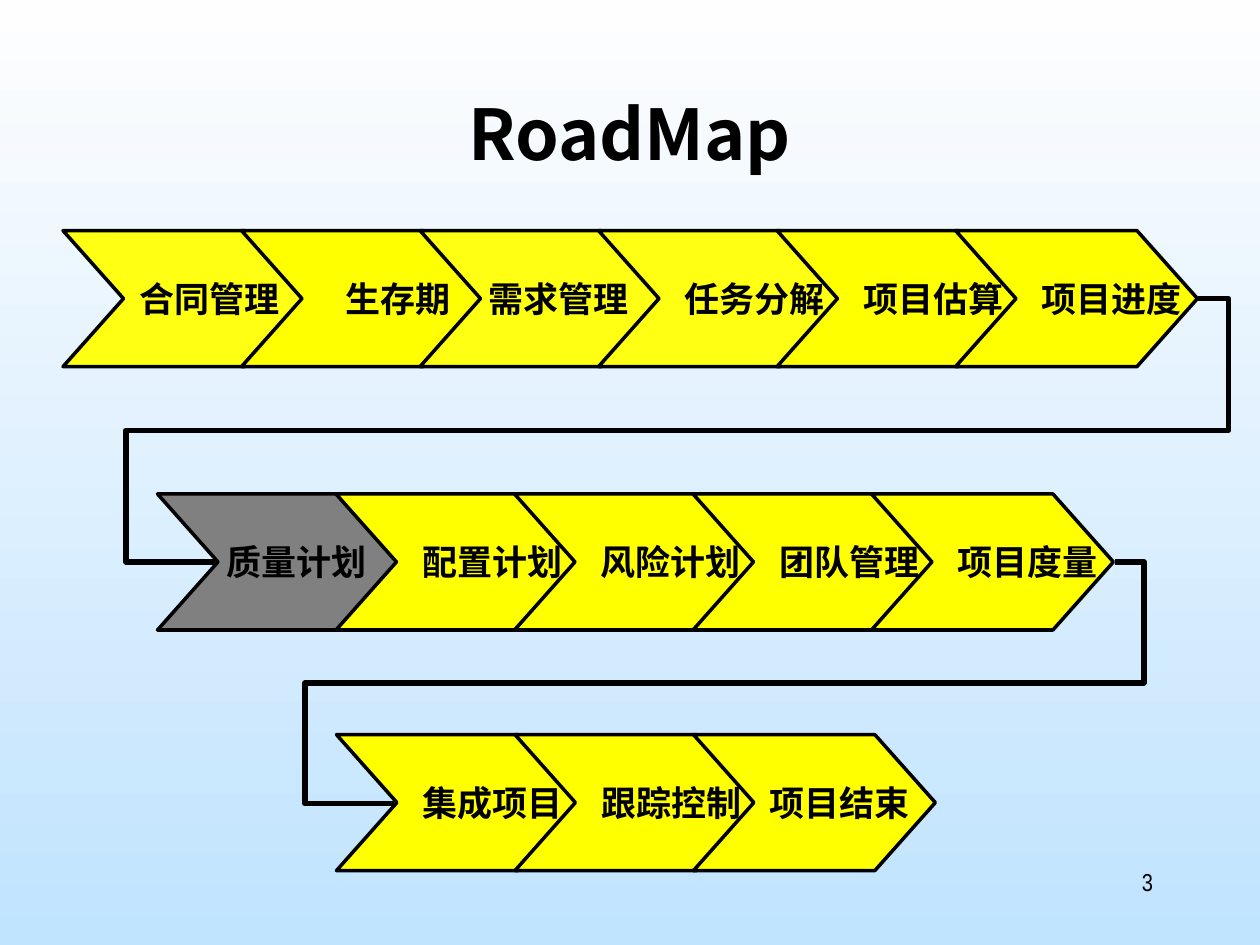
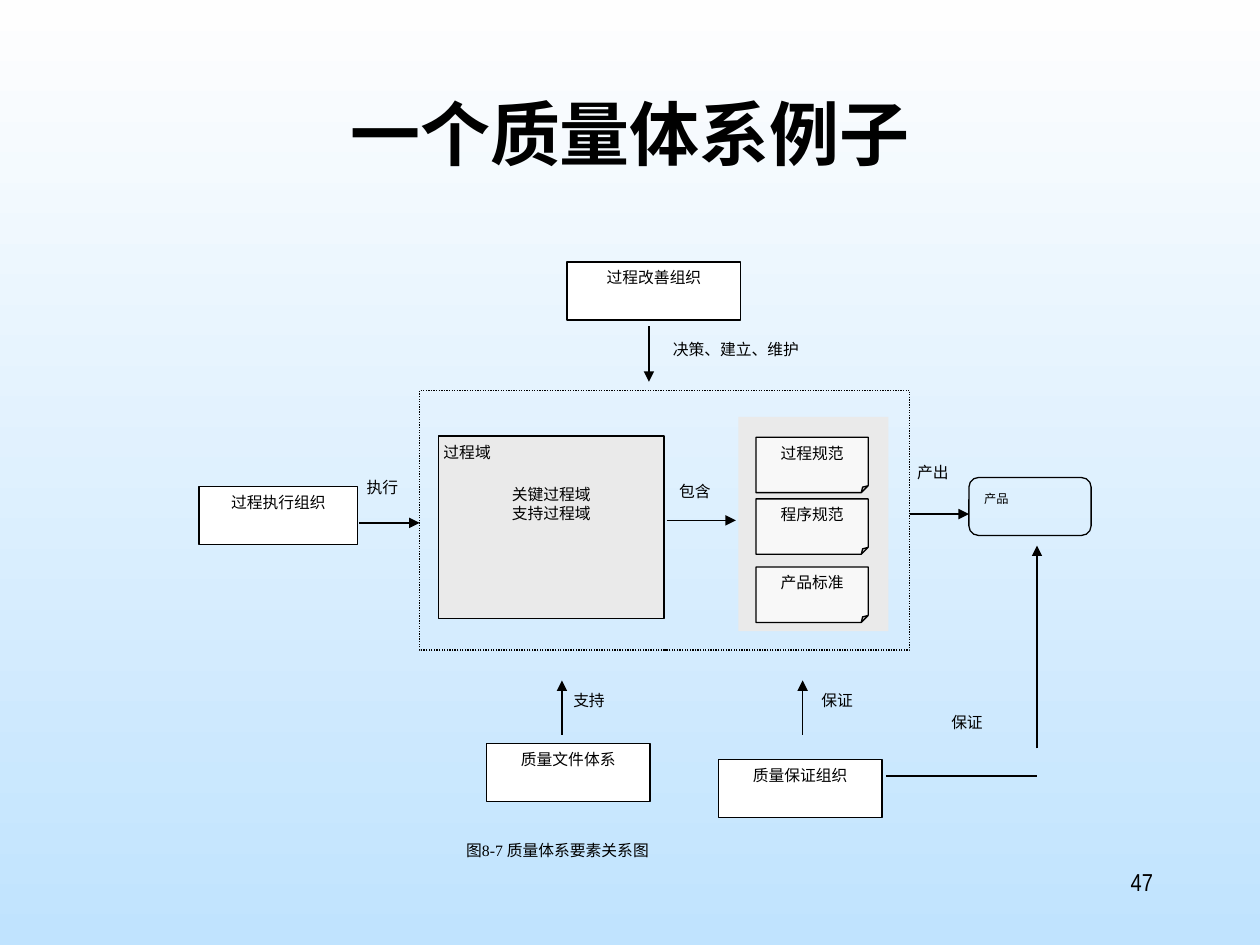
from lxml.etree import SubElement
from pptx import Presentation
from pptx.dml.color import RGBColor
from pptx.enum.dml import MSO_LINE
from pptx.enum.shapes import MSO_CONNECTOR, MSO_SHAPE
from pptx.enum.text import MSO_ANCHOR, PP_ALIGN
from pptx.oxml.ns import qn
from pptx.util import Inches, Pt

COLORS = {
    "ink": "000000", "white": "FFFFFF", "sky_top": "FEFEFE", "sky_bottom": "C0E3FE",
    "done": "FFFF13", "step": "FFFF00", "current": "808080",
    "panel": "EAEAEA", "note": "F8F8F8",
}
NARROW, SERIF, SANS = "Arial Narrow", "Times New Roman", "Noto Sans CJK SC"
LEFT, CENTER, RIGHT = PP_ALIGN.LEFT, PP_ALIGN.CENTER, PP_ALIGN.RIGHT

STEP_PITCH, STEP_W, STEP_H, STEP_BODY, NOTCH = 17 / 12, 1.92, 1.08, 1.44, 0.48
ROADMAP = [
    (0.5, 1.83, [("合同管理", "done", 0.2), ("生存期", "step", 0.28),
                 ("需求管理", "done", 0.14), ("任务分解", "done", 0.28),
                 ("项目估算", "step", 0.28), ("项目进度", "step", 0.28)]),
    (1.25, 3.92, [("质量计划", "current", 0.14), ("配置计划", "step", 0.28),
                  ("风险计划", "step", 0.28), ("团队管理", "step", 0.28),
                  ("项目度量", "step", 0.28)]),
    (2.67, 5.83, [("集成项目", "step", 0.28), ("跟踪控制", "step", 0.28),
                  ("项目结束", "step", 0.2)]),
]
ROW_LINKS = [((9.51, 2.37), (1.71, 4.46), 9.75, 1.0),
             ((8.85, 4.46), (3.13, 6.38), 9.08, 2.42)]

ORGANISATIONS = [
    ("过程改善组织", 4.5, 2.08, 1.38), ("过程执行组织", 1.58, 3.86, 1.26),
    ("质量保证组织", 5.7, 6.03, 1.3), ("质量文件体系", 3.86, 5.9, 1.3),
]
STANDARDS = [("过程规范", 3.47), ("程序规范", 3.96), ("产品标准", 4.5)]
RELATIONS = [
    ("决策、建立、维护", 5.34, 2.7, 1.5), ("执行", 2.91, 3.79, 0.43),
    ("包含", 5.39, 3.82, 0.43), ("产出", 7.28, 3.67, 0.43),
    ("支持", 4.55, 5.48, 0.43), ("保证", 6.52, 5.48, 0.43),
    ("保证", 7.55, 5.66, 0.43), ("过程域", 3.52, 3.51, 1.0),
]
ARROWS = [
    (5.15, 2.59, 5.15, 3.03), (2.85, 4.15, 3.33, 4.15), (5.29, 4.13, 5.84, 4.13),
    (7.22, 4.08, 7.69, 4.08), (4.46, 5.83, 4.46, 5.4), (6.37, 5.83, 6.37, 5.4),
]


def rgb(name):
    return RGBColor.from_string(COLORS[name])


def write(sp, lines, size, font, align=CENTER, bold=False, insets=(0.1, 0.05, 0.1, 0.05),
          anchor=MSO_ANCHOR.TOP, wrap=True):
    tf = sp.text_frame
    tf.word_wrap = wrap
    tf.vertical_anchor = anchor
    tf.margin_left, tf.margin_top, tf.margin_right, tf.margin_bottom = map(Inches, insets)
    for i, line in enumerate(lines):
        p = tf.paragraphs[0] if i == 0 else tf.add_paragraph()
        p.alignment = align
        r = p.add_run()
        r.text = line
        r.font.size, r.font.bold, r.font.name = Pt(size), bold, font
        r.font.color.rgb = rgb("ink")
        SubElement(r._r.rPr, qn("a:ea")).set("typeface", SANS)


def add_text(s, box, text, size, font, align=LEFT, **options):
    sp = s.shapes.add_textbox(*map(Inches, box))
    write(sp, [text], size, font, align, **options)


def style(sp, fill=None, width=0.75):
    sp.shadow.inherit = False
    if fill:
        sp.fill.solid()
        sp.fill.fore_color.rgb = rgb(fill)
    else:
        sp.fill.background()
    if width:
        sp.line.color.rgb = rgb("ink")
        sp.line.width = Pt(width)
    else:
        sp.line.fill.background()
    return sp


def add_box(s, box, fill=None, width=0.75, kind=MSO_SHAPE.RECTANGLE):
    return style(s.shapes.add_shape(kind, *map(Inches, box)), fill, width)


def set_guides(sp, guides):
    av = sp._element.spPr.find(qn("a:prstGeom")).find(qn("a:avLst"))
    for name, value in guides.items():
        gd = SubElement(av, qn("a:gd"))
        gd.set("name", name)
        gd.set("fmla", f"val {round(value * 100000)}")


def add_line(s, x1, y1, x2, y2, width=0.75, arrow=True, kind=MSO_CONNECTOR.STRAIGHT):
    c = s.shapes.add_connector(kind, *map(Inches, (x1, y1, x2, y2)))
    c.line.color.rgb = rgb("ink")
    c.line.width = Pt(width)
    props = c._element.spPr
    if arrow:
        SubElement(props.find(qn("a:ln")), qn("a:tailEnd")).set("type", "triangle")
    SubElement(props, qn("a:effectLst"))
    return c


def add_row_link(s, start, end, right_lane, left_lane):
    c = add_line(s, *start, *end, width=3, arrow=False, kind=MSO_CONNECTOR.ELBOW)
    c._element.spPr.find(qn("a:prstGeom")).set("prst", "bentConnector5")
    span = start[0] - end[0]
    set_guides(c, {"adj1": (start[0] - right_lane) / span, "adj2": 0.5,
                   "adj3": (start[0] - left_lane) / span})


def add_step(s, x, y, text, fill, shift):
    outline = [(0, 0), (STEP_BODY, 0), (STEP_W, STEP_H / 2), (STEP_BODY, STEP_H),
               (0, STEP_H), (NOTCH, STEP_H / 2)]
    points = [(Inches(x + dx), Inches(y + dy)) for dx, dy in outline]
    fb = s.shapes.build_freeform(*points[0])
    fb.add_line_segments(points[1:], close=True)
    sp = style(fb.convert_to_shape(), fill, 2)
    write(sp, [text], 20, NARROW, bold=True, insets=(0.1 + 2 * shift, 0.05, 0.1, 0.05),
          anchor=MSO_ANCHOR.MIDDLE, wrap=False)


def new_slide(prs, title, font, number):
    s = prs.slides.add_slide(prs.slide_layouts[6])
    fill = s.background.fill
    fill.gradient()
    fill.gradient_angle = 270
    for stop, name in zip(fill.gradient_stops, ("sky_top", "sky_bottom")):
        stop.color.rgb = rgb(name)
    add_text(s, (0.75, 0.67, 8.5, 1.25), title, 40, font, CENTER, bold=True)
    add_text(s, (7.17, 6.83, 2.08, 0.5), number, 14, NARROW, RIGHT)
    return s


def build_roadmap(prs):
    s = new_slide(prs, "RoadMap", SANS, "3")
    for left, top, steps in ROADMAP:
        for i, step in enumerate(steps):
            add_step(s, left + i * STEP_PITCH, top, *step)
    for link in ROW_LINKS:
        add_row_link(s, *link)


def build_quality_system(prs):
    s = new_slide(prs, "一个质量体系例子", NARROW, "47")
    system = add_box(s, (3.33, 3.1, 3.89, 2.06))
    system.line.dash_style = MSO_LINE.ROUND_DOT
    add_box(s, (5.86, 3.31, 1.19, 1.7), "panel", width=0)

    area = add_box(s, (3.48, 3.46, 1.79, 1.45), "panel")
    write(area, ["关键过程域", "支持过程域"], 9, SERIF, insets=(0.1, 0.39, 0.1, 0.05))
    product = add_box(s, (7.69, 3.79, 0.97, 0.46), kind=MSO_SHAPE.ROUNDED_RECTANGLE)
    write(product, ["产品"], 7, SERIF, LEFT, insets=(0.1, 0.09, 0.1, 0.05))

    for text, x, y, w in ORGANISATIONS:
        sp = add_box(s, (x, y, w, 0.46), "white")
        write(sp, [text], 9, SERIF, insets=(0, 0.05, 0, 0.05))
    for text, y in STANDARDS:
        sp = add_box(s, (6, y, 0.89, 0.44), "note", kind=MSO_SHAPE.FOLDED_CORNER)
        set_guides(sp, {"adj": 0.125})
        write(sp, [text], 9, SERIF, insets=(0, 0.05, 0, 0.05))

    for text, x, y, w in RELATIONS:
        add_text(s, (x, y, w, 0.32), text, 9, SANS, insets=(0, 0, 0, 0))
    add_text(s, (3.7, 6.62, 2.26, 0.46), "图8-7 质量体系要素关系图", 9, SERIF,
             insets=(0, 0.05, 0, 0.05))

    for arrow in ARROWS:
        add_line(s, *arrow)
    add_line(s, 7.03, 6.16, 8.23, 6.16, width=1.25, arrow=False)
    add_line(s, 8.23, 5.94, 8.23, 4.33, width=1.25)


def main():
    prs = Presentation()
    prs.slide_width, prs.slide_height = Inches(10), Inches(7.5)
    build_roadmap(prs)
    build_quality_system(prs)
    prs.save("out.pptx")


if __name__ == "__main__":
    main()
